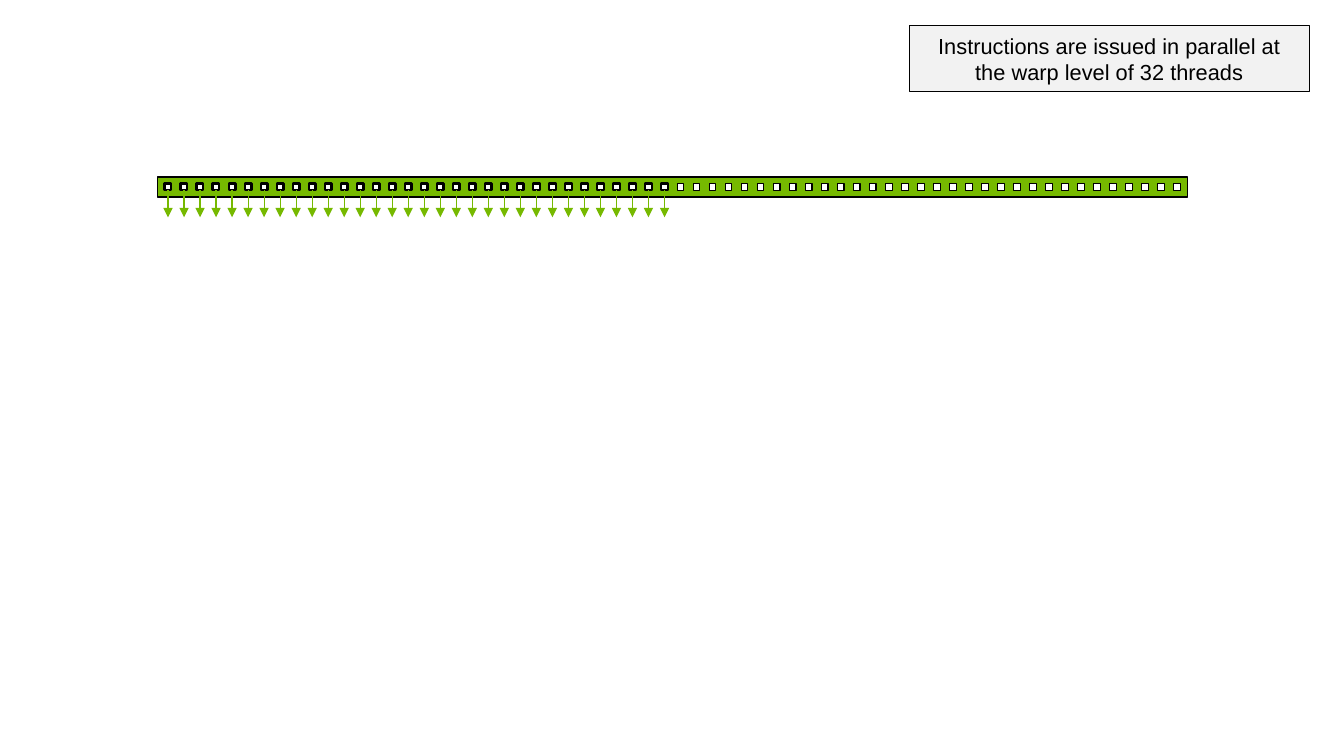
from lxml.etree import SubElement
from pptx import Presentation
from pptx.dml.color import RGBColor
from pptx.enum.shapes import MSO_CONNECTOR, MSO_SHAPE
from pptx.enum.text import MSO_ANCHOR, PP_ALIGN
from pptx.oxml.ns import qn
from pptx.util import Inches, Pt

GREEN = RGBColor(0x76, 0xB9, 0x00)
WHITE = RGBColor(0xFF, 0xFF, 0xFF)
BLACK = RGBColor(0x00, 0x00, 0x00)
LIGHT_GRAY = RGBColor(0xF2, 0xF2, 0xF2)

THREAD_COUNT = 64
WARP_SIZE = 32
THREAD_SIZE = 0.06
THREAD_MARGIN = 0.06
ARROW_END = 1.94

CALLOUT_FONT = {"name": "Arial", "size": Pt(14)}
CALLOUT_FRAME = {
    "word_wrap": True,
    "vertical_anchor": MSO_ANCHOR.MIDDLE,
    "margin_left": Inches(0.1),
    "margin_right": Inches(0.1),
    "margin_top": Inches(0.05),
    "margin_bottom": Inches(0.05),
}


def apply_format(target, values):
    for name, value in values.items():
        setattr(target, name, value)


def add_rectangle(shapes, box, fill, line_width=0.75):
    shape = shapes.add_shape(MSO_SHAPE.RECTANGLE, *map(Inches, box))
    shape.shadow.inherit = False
    shape.fill.solid()
    shape.fill.fore_color.rgb = fill
    shape.line.color.rgb = BLACK
    shape.line.width = Pt(line_width)
    return shape


def add_thread_block(slide, box):
    left, top, width, height = box
    add_rectangle(slide.shapes, box, GREEN)
    first = left + THREAD_MARGIN
    pitch = (width - 2 * THREAD_MARGIN - THREAD_SIZE) / (THREAD_COUNT - 1)
    thread_top = top + (height - THREAD_SIZE) / 2
    return [
        add_rectangle(
            slide.shapes,
            (first + index * pitch, thread_top, THREAD_SIZE, THREAD_SIZE),
            WHITE,
            1.5 if index < WARP_SIZE else 0.75,
        )
        for index in range(THREAD_COUNT)
    ]


def add_issue_arrows(slide, threads, bottom):
    group = slide.shapes.add_group_shape()
    for thread in threads:
        center = thread.left + thread.width // 2
        arrow = group.shapes.add_connector(
            MSO_CONNECTOR.STRAIGHT,
            center, thread.top + thread.height, center, Inches(bottom),
        )
        arrow.begin_connect(thread, 2)
        arrow.line.color.rgb = GREEN
        arrow.line.width = Pt(0.75)
        SubElement(arrow.line._get_or_add_ln(), qn("a:tailEnd"), type="triangle")
        SubElement(arrow._element.spPr, qn("a:effectLst"))


def add_callout(slide, box, text):
    callout = add_rectangle(slide.shapes, box, LIGHT_GRAY)
    apply_format(callout.text_frame, CALLOUT_FRAME)
    paragraph = callout.text_frame.paragraphs[0]
    paragraph.text = text
    paragraph.alignment = PP_ALIGN.CENTER
    apply_format(paragraph.font, CALLOUT_FONT)
    paragraph.font.color.rgb = BLACK


def main():
    presentation = Presentation()
    presentation.slide_width = Inches(12)
    presentation.slide_height = Inches(6.75)
    slide = presentation.slides.add_slide(presentation.slide_layouts[6])
    threads = add_thread_block(slide, (1.41, 1.58, 9.19, 0.18))
    add_issue_arrows(slide, threads[:WARP_SIZE], ARROW_END)
    add_callout(
        slide,
        (8.12, 0.23, 3.57, 0.59),
        "Instructions are issued in parallel at the warp level of 32 threads",
    )
    presentation.save("out.pptx")


if __name__ == "__main__":
    main()
